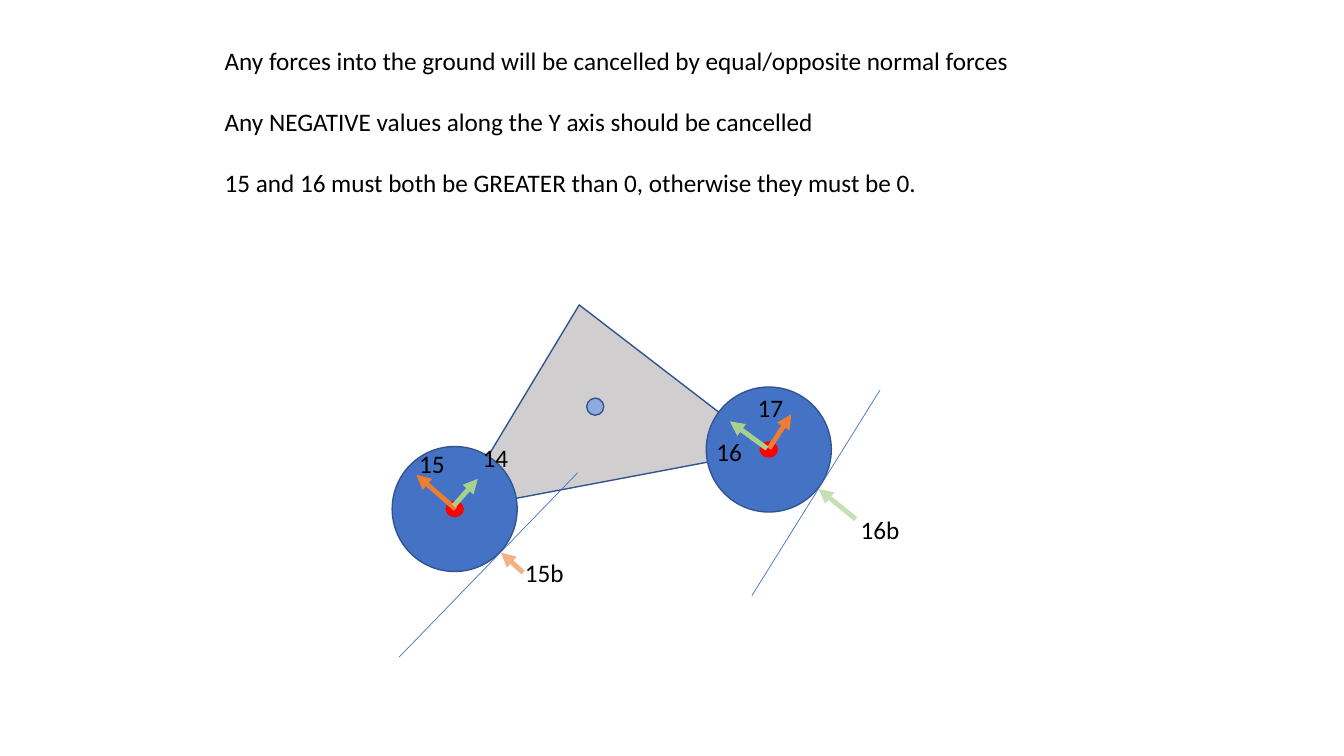
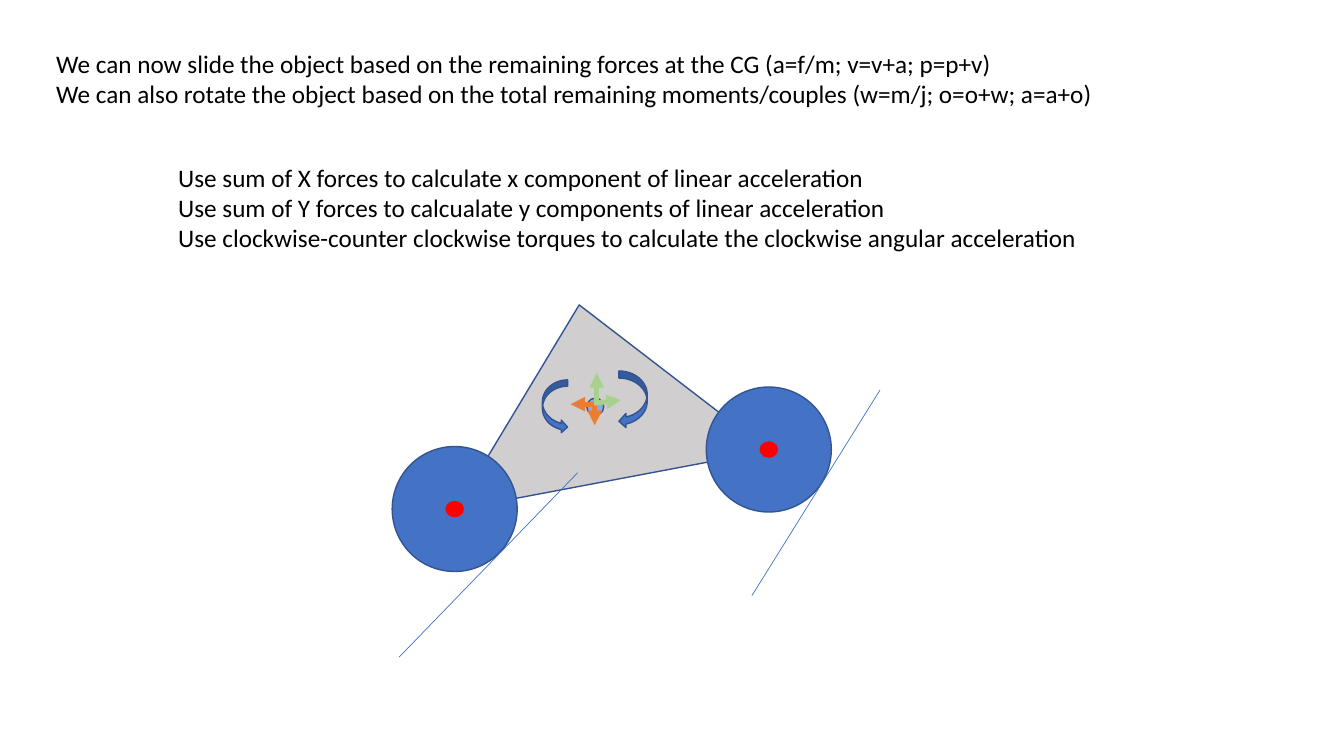
import pptx
import pptx.dml.color
import pptx.enum.shapes
import pptx.enum.text
import pptx.oxml.ns
import pptx.util
from lxml import etree

Pt = pptx.util.Pt
Kind = pptx.enum.shapes.MSO_SHAPE


class Theme:
    font = "Calibri"
    size = 18
    gap = 22
    thin = 0.5
    edge = 1
    bold = 3.5
    ink = "000000"
    blue = "4472C4"
    navy = "325491"
    pale = "8FAADC"
    gray = "D0CECE"
    red = "FF0000"
    orange = "ED7D31"
    peach = "F4B183"
    green = "A9D18E"
    mint = "C5E0B4"


def color(code):
    return pptx.dml.color.RGBColor.from_string(code)


class Deck:
    def __init__(self, theme):
        self.theme = theme
        self.file = pptx.Presentation()
        self.file.slide_width = Pt(960)
        self.file.slide_height = Pt(540)
        self.slide = None

    def page(self):
        self.slide = self.file.slides.add_slide(self.file.slide_layouts[6])

    def shape(self, kind, x, y, w, h, fill, edge=None, turn=0):
        item = self.slide.shapes.add_shape(kind, Pt(x), Pt(y), Pt(w), Pt(h))
        item.shadow.inherit = False
        item.rotation = turn
        item.fill.solid()
        item.fill.fore_color.rgb = color(fill)
        item.line.color.rgb = color(edge or self.theme.navy)
        item.line.width = Pt(self.theme.edge)

    def disc(self, x, y, w, h, fill, edge=None):
        self.shape(Kind.OVAL, x - w / 2, y - h / 2, w, h, fill, edge)

    def line(self, start, end, ink, width):
        item = self.slide.shapes.add_connector(
            pptx.enum.shapes.MSO_CONNECTOR.STRAIGHT,
            *[Pt(n) for n in start + end])
        item.line.color.rgb = color(ink)
        item.line.width = Pt(width)
        props = item.element.spPr
        etree.SubElement(props, pptx.oxml.ns.qn("a:effectLst"))
        return props.find(pptx.oxml.ns.qn("a:ln"))

    def arrow(self, start, end, ink):
        stroke = self.line(start, end, ink, self.theme.bold)
        etree.SubElement(stroke, pptx.oxml.ns.qn("a:tailEnd"), type="triangle")

    def text(self, x, y, w, h, rows, gap=0):
        box = self.slide.shapes.add_textbox(Pt(x), Pt(y), Pt(w), Pt(h))
        frame = box.text_frame
        frame.word_wrap = False
        frame.auto_size = pptx.enum.text.MSO_AUTO_SIZE.SHAPE_TO_FIT_TEXT
        for i, row in enumerate(rows):
            para = frame.add_paragraph() if i else frame.paragraphs[0]
            para.space_before = Pt(gap if i else 0)
            run = para.add_run()
            run.text = row
            run.font.name = self.theme.font
            run.font.size = Pt(self.theme.size)
            run.font.color.rgb = color(self.theme.ink)

    def cart(self):
        t = self.theme
        wheels = ((324.8, 363.6), (549.2, 321.1))
        self.shape(Kind.ISOSCELES_TRIANGLE, 311.8, 216.7, 227.5, 127.4,
                   t.gray, turn=349.3)
        for x, y in wheels:
            self.disc(x, y, 89.3, 89.3, t.blue)
        self.line((285.1, 469.4), (412.6, 337.7), t.blue, t.thin)
        self.line((537.1, 425.5), (628.6, 278.6), t.blue, t.thin)
        for x, y in wheels:
            self.disc(x, y, 12.2, 10.8, t.red, t.red)
        self.disc(425.2, 290.5, 12.2, 12.2, t.pale)


def ground(deck):
    t = deck.theme
    deck.page()
    deck.cart()
    for start, end, ink in (
            ((325.4, 363.6), (297.4, 339.1), t.orange),
            ((549.4, 320.4), (565.2, 295.9), t.orange),
            ((547.9, 320.4), (521.3, 301), t.green),
            ((324, 361.4), (341.3, 342), t.green),
            ((373.7, 409), (357.8, 394.6), t.peach),
            ((611.3, 370.8), (584.6, 349.2), t.mint)):
        deck.arrow(start, end, ink)
    deck.text(153.4, 28.8, 581, 116.6, (
        "Any forces into the ground will be cancelled by equal/opposite "
        "normal forces",
        "Any NEGATIVE values along the Y axis should be cancelled",
        "15 and 16 must both be GREATER than 0, otherwise they must be 0.",
    ), t.gap)
    for label, x, y in (("14", 337.7, 312.5), ("15", 292.3, 316.8),
                        ("16", 504.7, 308.2), ("17", 534.2, 276.5),
                        ("15b", 367.9, 394.6), ("16b", 607.7, 363.6)):
        deck.text(x, y, 33.1 if len(label) == 2 else 42.5, 28.8, [label])


def motion(deck):
    t = deck.theme
    deck.page()
    deck.cart()
    deck.text(33.1, 31, 758.2, 51.1, (
        "We can now slide the object based on the remaining forces at the CG "
        "(a=f/m; v=v+a; p=p+v)",
        "We can also rotate the object based on the total remaining "
        "moments/couples (w=m/j; o=o+w; a=a+o)"))
    for start, end, ink in (
            ((424.8, 288.7), (407.5, 288.7), t.orange),
            ((424.8, 288.7), (424.8, 303.8), t.orange),
            ((426.2, 289.4), (426.2, 266.4), t.green),
            ((424.8, 288), (443.5, 285.8), t.green)):
        deck.arrow(start, end, ink)
    deck.shape(Kind.CURVED_RIGHT_ARROW, 387.4, 271.4, 18, 38.2, t.blue)
    deck.shape(Kind.CURVED_LEFT_ARROW, 442.1, 265, 20.2, 41, t.blue)
    deck.text(120.2, 112.3, 663.1, 72.7, (
        "Use sum of X forces to calculate x component of linear acceleration",
        "Use sum of Y forces to calcualate y components of linear acceleration",
        "Use clockwise-counter clockwise torques to calculate the clockwise "
        "angular acceleration"))


deck = Deck(Theme())
ground(deck)
motion(deck)
deck.file.save("out.pptx")
